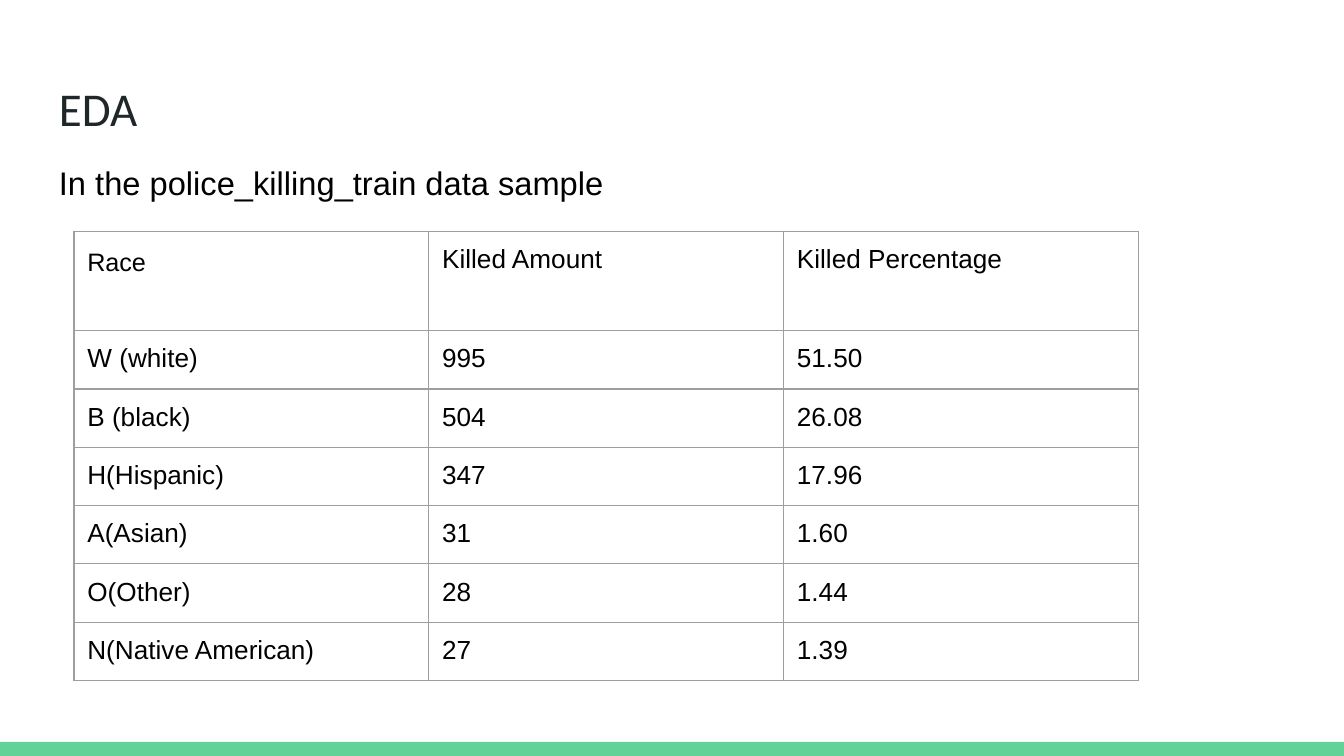
import pptx
import pptx.util
import pptx.dml.color
import pptx.enum.shapes
from lxml import etree
from pptx.oxml.ns import qn
from pptx.util import Inches, Pt

TITLE = "EDA"
SUBTITLE = "In the police_killing_train data sample"
ROWS = [
    ("Race", "Killed Amount", "Killed Percentage"),
    ("W (white)", "995", "51.50"),
    ("B (black)", "504", "26.08"),
    ("H(Hispanic)", "347", "17.96"),
    ("A(Asian)", "31", "1.60"),
    ("O(Other)", "28", "1.44"),
    ("N(Native American)", "27", "1.39"),
]
BLACK, DARK, GREEN, GREY = "000000", "202729", "63D297", "9E9E9E"
COL_W, HEADER_H, ROW_H = 2.64, 0.74, 0.43
MARGIN = Inches(0.1)


def rgb(value):
    return pptx.dml.color.RGBColor.from_string(value)


def add_run(p, text, size, font="Arial", color=BLACK):
    r = p.add_run()
    r.text = text
    r.font.size = Pt(size)
    r.font.name = font
    r.font.color.rgb = rgb(color)


def add_text(slide, box, text, size, font, color):
    tf = slide.shapes.add_textbox(*map(Inches, box)).text_frame
    tf.word_wrap = True
    tf.margin_left = tf.margin_right = tf.margin_top = tf.margin_bottom = MARGIN
    add_run(tf.paragraphs[0], text, size, font, color)


def set_borders(cell, color, width):
    """Draw all four sides; borders must precede the fill in tcPr."""
    tc_pr = cell._tc.get_or_add_tcPr()
    for i, side in enumerate(("a:lnL", "a:lnR", "a:lnT", "a:lnB")):
        ln = etree.Element(qn(side), w=str(Pt(width)))
        fill = etree.SubElement(ln, qn("a:solidFill"))
        etree.SubElement(fill, qn("a:srgbClr"), val=color)
        tc_pr.insert(i, ln)


def add_race_table(slide):
    height = HEADER_H + ROW_H * (len(ROWS) - 1)
    table = slide.shapes.add_table(
        len(ROWS), len(ROWS[0]), Inches(0.55), Inches(1.72),
        Inches(COL_W * len(ROWS[0])), Inches(height)).table
    table.first_row = table.horz_banding = False
    for col in table.columns:
        col.width = Inches(COL_W)
    for i, values in enumerate(ROWS):
        table.rows[i].height = Inches(ROW_H if i else HEADER_H)
        for j, text in enumerate(values):
            cell = table.cell(i, j)
            cell.margin_left = cell.margin_right = MARGIN
            cell.margin_top = cell.margin_bottom = MARGIN
            cell.fill.background()
            set_borders(cell, GREY, 0.75)
            p = cell.text_frame.paragraphs[0]
            corner = i == j == 0
            if corner:
                p.line_spacing = 1.15
            add_run(p, text, 13.5 if corner else 14)


prs = pptx.Presentation()
prs.slide_width, prs.slide_height = Inches(10), Inches(5.625)
slide = prs.slides.add_slide(prs.slide_layouts[6])

bar = slide.shapes.add_shape(
    pptx.enum.shapes.MSO_SHAPE.RECTANGLE,
    0, Inches(5.52), prs.slide_width, Inches(0.11))
bar.shadow.inherit = False
bar.fill.solid()
bar.fill.fore_color.rgb = rgb(GREEN)
bar.line.fill.background()

add_text(slide, (0.34, 0.49, 9.32, 0.63), TITLE, 25.2, "Calibri", DARK)
add_text(slide, (0.34, 1.11, 9.32, 0.79), SUBTITLE, 17.5, "Arial", BLACK)
add_race_table(slide)

prs.save("out.pptx")
